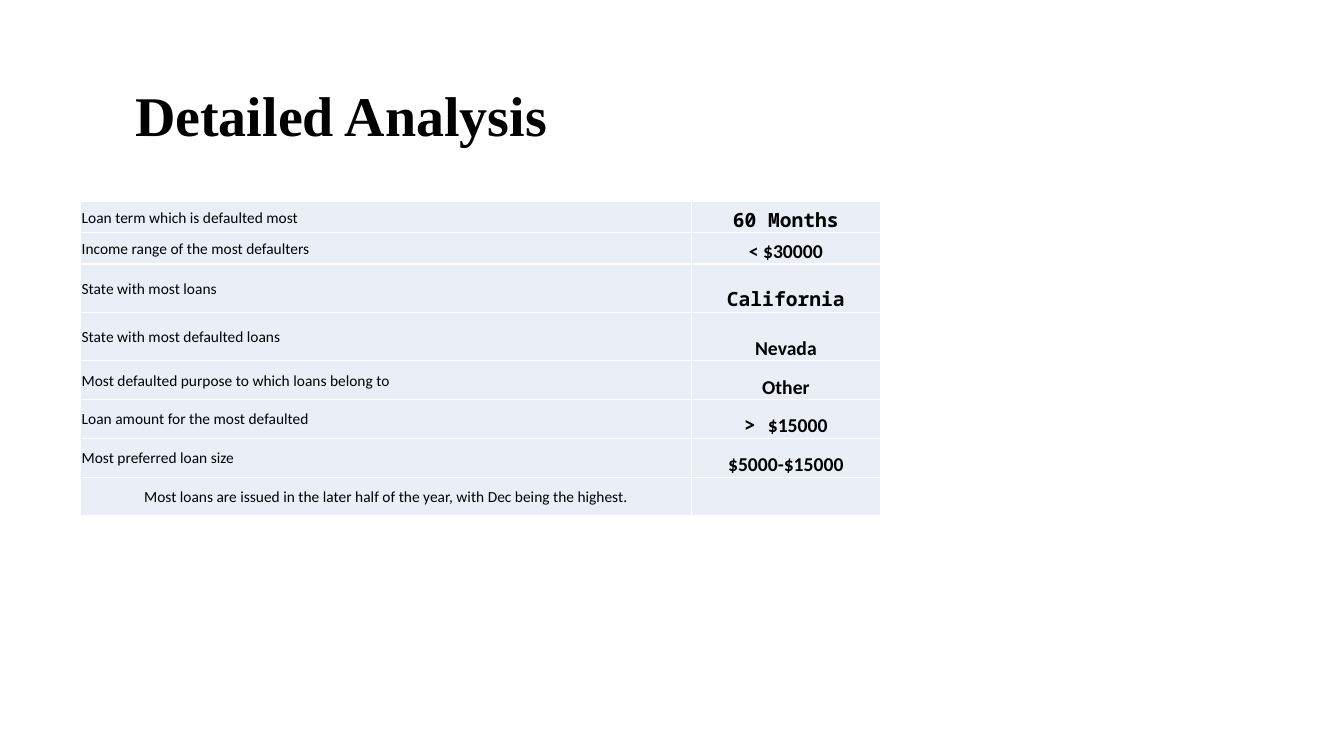
from dataclasses import dataclass

from lxml.etree import SubElement
from pptx import Presentation
from pptx.dml.color import RGBColor
from pptx.enum.text import MSO_ANCHOR as Anchor, PP_ALIGN as Align
from pptx.oxml.ns import qn
from pptx.slide import Slide
from pptx.table import _Cell as Cell
from pptx.text.text import _Paragraph as Paragraph
from pptx.util import Inches, Pt

BLACK = RGBColor(0x00, 0x00, 0x00)
WHITE = RGBColor(0xFF, 0xFF, 0xFF)
PALE_BLUE = RGBColor(0xEA, 0xEF, 0xF7)
SANS = "Calibri"
MONO = "Noto Sans Mono"
SERIF = "Times New Roman"


@dataclass(frozen=True)
class Part:
    text: str
    font: str = SANS


@dataclass(frozen=True)
class Finding:
    question: str
    answer: tuple[Part, ...]
    height: float
    align: Align = Align.LEFT


FINDINGS = (
    Finding("Loan term which is defaulted most", (Part("60 Months", MONO),), 0.31),
    Finding("Income range of the most defaulters", (Part("< $30000"),), 0.31),
    Finding("State with most loans", (Part("California", MONO),), 0.48),
    Finding("State with most defaulted loans", (Part("Nevada"),), 0.48),
    Finding("Most defaulted purpose to which loans belong to", (Part("Other"),), 0.385),
    Finding("Loan amount for the most defaulted", (Part("> ", MONO), Part("$15000")), 0.385),
    Finding("Most preferred loan size", (Part("$5000-$15000"),), 0.385),
    Finding(
        "Most loans are issued in the later half of the year, with Dec being the highest.",
        (), 0.385, Align.CENTER,
    ),
)
COLUMN_WIDTHS = (6.06, 1.87)


def add_part(paragraph: Paragraph, part: Part, size: float, bold: bool) -> None:
    run = paragraph.add_run()
    run.text = part.text
    run.font.name = part.font
    run.font.size = Pt(size)
    run.font.bold = bold
    run.font.color.rgb = BLACK


def style_cell(cell: Cell, anchor: Anchor) -> None:
    cell.margin_left = cell.margin_right = cell.margin_top = Inches(0.01)
    cell.margin_bottom = 0
    cell.vertical_anchor = anchor
    properties = cell._tc.get_or_add_tcPr()
    for side in ("lnL", "lnR", "lnT", "lnB"):
        border = SubElement(properties, qn(f"a:{side}"), w=str(Pt(1)))
        border_fill = SubElement(border, qn("a:solidFill"))
        SubElement(border_fill, qn("a:srgbClr"), val=str(WHITE))
    cell.fill.solid()
    cell.fill.fore_color.rgb = PALE_BLUE


def fill_cell(cell: Cell, parts: tuple[Part, ...], size: float, bold: bool,
              align: Align, anchor: Anchor) -> None:
    style_cell(cell, anchor)
    paragraph = cell.text_frame.paragraphs[0]
    paragraph.alignment = align
    paragraph.font.size = Pt(size)
    for part in parts:
        add_part(paragraph, part, size, bold)


def add_heading(slide: Slide) -> None:
    heading = slide.shapes.title
    heading.left, heading.top = Inches(1.24), Inches(0.7)
    heading.width, heading.height = Inches(10.19), Inches(0.94)
    heading.text_frame.vertical_anchor = Anchor.MIDDLE
    paragraph = heading.text_frame.paragraphs[0]
    paragraph.alignment = Align.LEFT
    paragraph.line_spacing = 0.9
    add_part(paragraph, Part("Detailed Analysis", SERIF), 40, True)


def add_findings(slide: Slide) -> None:
    findings = slide.shapes.add_table(
        len(FINDINGS), len(COLUMN_WIDTHS), Inches(0.8), Inches(2),
        Inches(sum(COLUMN_WIDTHS)), Inches(sum(f.height for f in FINDINGS)),
    ).table
    findings.first_row = False
    findings.horz_banding = False
    for column, width in zip(findings.columns, COLUMN_WIDTHS):
        column.width = Inches(width)
    for row, finding in zip(findings.rows, FINDINGS):
        row.height = Inches(finding.height)
        question, answer = row.cells
        fill_cell(question, (Part(finding.question),), 11, False, finding.align, Anchor.MIDDLE)
        fill_cell(answer, finding.answer, 14, True, Align.CENTER, Anchor.BOTTOM)


def main() -> None:
    deck = Presentation()
    deck.slide_width, deck.slide_height = Inches(13.33), Inches(7.5)
    slide = deck.slides.add_slide(deck.slide_layouts[5])
    add_heading(slide)
    add_findings(slide)
    deck.save("out.pptx")


if __name__ == "__main__":
    main()
